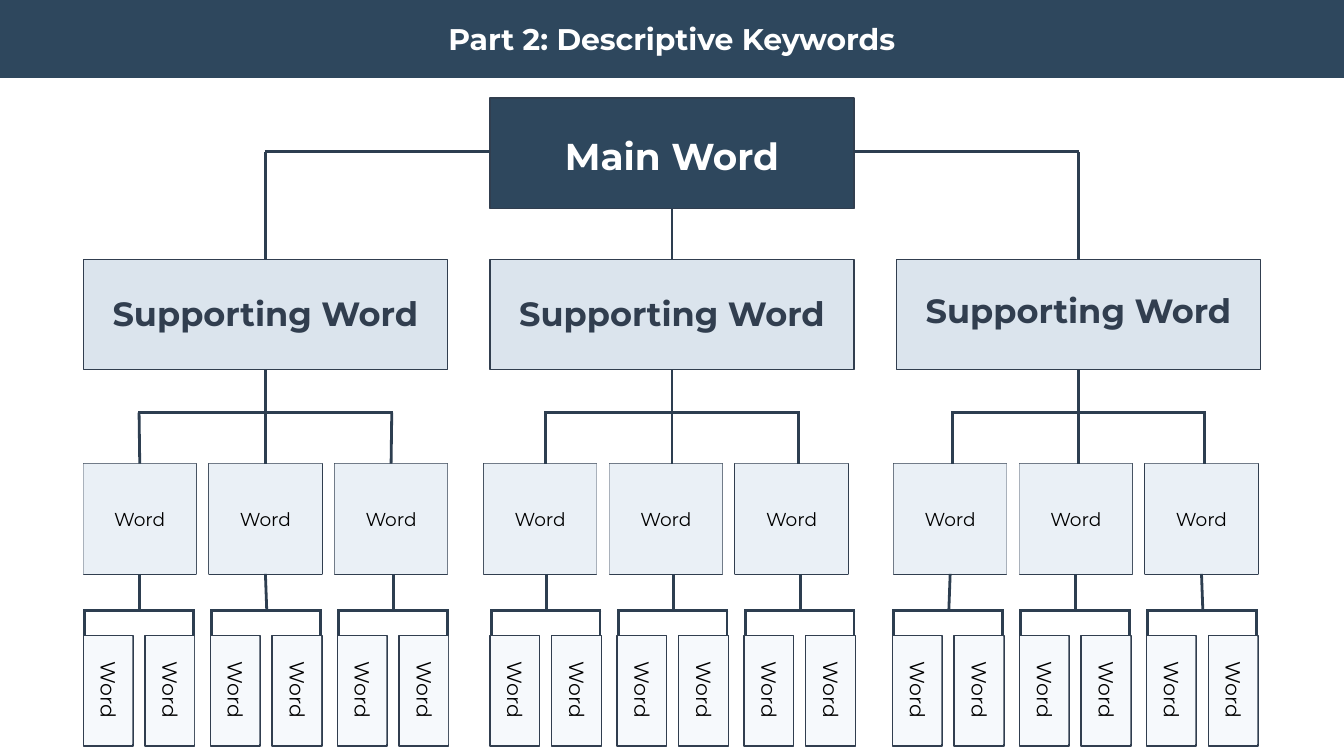
from lxml import etree
from pptx import Presentation
from pptx.dml.color import RGBColor
from pptx.enum.shapes import MSO_CONNECTOR, MSO_SHAPE
from pptx.enum.text import MSO_ANCHOR, MSO_AUTO_SIZE, PP_ALIGN
from pptx.oxml.ns import qn
from pptx.util import Inches, Pt

RECTANGLE = MSO_SHAPE.RECTANGLE
STRAIGHT = MSO_CONNECTOR.STRAIGHT
CENTER = PP_ALIGN.CENTER
MIDDLE, TOP_ANCHOR = MSO_ANCHOR.MIDDLE, MSO_ANCHOR.TOP
NO_AUTOFIT = MSO_AUTO_SIZE.NONE
TOP, BOTTOM = 0, 2

FONT = "Montserrat"
NAVY, OUTLINE, BRANCH = "2E475D", "313E4F", "2D3E50"
SUPPORT_FILL, WORD_FILL, LEAF_FILL = "DBE4ED", "EAF0F6", "F6F9FC"
WHITE, BLACK = "FFFFFF", "000000"

SLIDE_W = 10
SLIDE_H = SLIDE_W * 9 / 16
BOX_W, BOX_H = 2.71, 0.82
MAIN_X = (SLIDE_W - BOX_W) / 2
MAIN_Y, ELBOW_Y, SUPPORT_Y, WORD_Y, LEAF_Y = 0.73, 1.13, 1.93, 3.45, 4.73
BAR_Y, BRACKET_Y = 3.07, 4.54
WORD_W, WORD_PITCH = 0.84, 1.87 / 2
LEAF_W, LEAF_PITCH, PAIR_PITCH = 0.37, 0.46, 1.89 / 2
SNAP = 0.01

# Left edges of each branch: supporting box, word row, leaf row; then label top
BRANCHES = [
    (0.62, 0.62, 0.62, 2.08),
    (MAIN_X, 3.60, MAIN_X, 2.08),
    (6.67, 6.65, 6.64, 2.06),
]


def color(value):
    return RGBColor.from_string(value)


def write(shape, text, size, ink, bold=False, anchor=MIDDLE, side=0.1):
    frame = shape.text_frame
    frame.word_wrap = True
    frame.auto_size = NO_AUTOFIT
    frame.vertical_anchor = anchor
    frame.margin_left = frame.margin_right = Inches(side)
    frame.margin_top = frame.margin_bottom = Inches(0.1)
    paragraph = frame.paragraphs[0]
    paragraph.alignment = CENTER
    run = paragraph.add_run()
    run.text = text
    run.font.name, run.font.size, run.font.bold = FONT, Pt(size), bold
    run.font.color.rgb = color(ink)


def add_box(slide, x, y, w, h, fill, outlined=True):
    box = slide.shapes.add_shape(RECTANGLE, Inches(x), Inches(y), Inches(w), Inches(h))
    box.shadow.inherit = False
    box.fill.solid()
    box.fill.fore_color.rgb = color(fill)
    if outlined:
        box.line.color.rgb = color(OUTLINE)
        box.line.width = Pt(0.75)
    else:
        box.line.fill.background()
    return box


def add_label(slide, x, y, w, h, text, size, ink):
    label = slide.shapes.add_textbox(Inches(x), Inches(y), Inches(w), Inches(h))
    write(label, text, size, ink, bold=True, anchor=TOP_ANCHOR)


def add_branch_line(slide, x1, y1, x2, y2, begin=None, end=None):
    """Draw a line; begin and end are optional (shape, side) joints."""
    line = slide.shapes.add_connector(STRAIGHT, Inches(x1), Inches(y1), Inches(x2), Inches(y2))
    line.line.color.rgb = color(BRANCH)
    line.line.width = Pt(1.5)
    etree.SubElement(line._element.spPr, qn("a:effectLst"))
    if begin:
        line.begin_connect(*begin)
    if end:
        line.end_connect(*end)


def joint(box, side, x):
    """Return a joint when x meets the middle of the box's side."""
    middle = box.left + box.width / 2
    return (box, side) if abs(middle - Inches(x)) <= Inches(SNAP) else None


def add_title(slide):
    title = slide.shapes.title
    title.left, title.top = Inches(0), Inches(0)
    title.width, title.height = Inches(SLIDE_W), Inches(0.58)
    title.fill.solid()
    title.fill.fore_color.rgb = color(NAVY)
    write(title, "Part 2: Descriptive Keywords", 16, WHITE, bold=True)


def add_word(slide, x):
    frame = add_box(slide, x, WORD_Y, WORD_W, BOX_H, WHITE)
    face = add_box(slide, x, WORD_Y, WORD_W, BOX_H, WORD_FILL, outlined=False)
    write(face, "Word", 10, BLACK)
    return frame


def add_leaf(slide, x):
    add_box(slide, x, LEAF_Y, LEAF_W, BOX_H, LEAF_FILL)
    face = add_box(slide, x - 0.21, LEAF_Y + 0.23, 0.8, 0.35, LEAF_FILL, outlined=False)
    face.rotation = 90
    write(face, "Word", 11, BLACK, side=0.05)


def add_leaf_pair(slide, x, word):
    # Bracket from the word down to its two leaves
    stem_x = x + 0.42
    add_branch_line(slide, stem_x, WORD_Y + BOX_H, stem_x, BRACKET_Y,
                    begin=joint(word, BOTTOM, stem_x))
    add_branch_line(slide, x + 0.83, BRACKET_Y, x, BRACKET_Y)
    for post_x in (x + 0.01, x + 0.82):
        add_branch_line(slide, post_x, BRACKET_Y, post_x, LEAF_Y)
    for i in range(2):
        add_leaf(slide, x + i * LEAF_PITCH)


def add_branch(slide, support_x, words_x, leaves_x, label_y):
    support = add_box(slide, support_x, SUPPORT_Y, BOX_W, BOX_H, SUPPORT_FILL)
    add_label(slide, support_x + 0.04, label_y, 2.63, 0.58, "Supporting Word", 18, OUTLINE)
    words = [add_word(slide, words_x + i * WORD_PITCH) for i in range(3)]

    # Trunk, crossbar and drops from the supporting word to its three words
    center = support_x + BOX_W / 2
    add_branch_line(slide, center, SUPPORT_Y + BOX_H, center, WORD_Y,
                    begin=(support, BOTTOM), end=joint(words[1], TOP, center))
    add_branch_line(slide, center + 0.95, BAR_Y, center - 0.95, BAR_Y)
    for word, drop_x in ((words[0], center - 0.94), (words[2], center + 0.94)):
        add_branch_line(slide, drop_x, BAR_Y, drop_x, WORD_Y, end=joint(word, TOP, drop_x))

    for i, word in enumerate(words):
        add_leaf_pair(slide, leaves_x + i * PAIR_PITCH, word)
    return support


def add_main_links(slide, main_box, supports):
    left, middle, right = supports
    center = SLIDE_W / 2
    add_branch_line(slide, center, MAIN_Y + BOX_H, center, SUPPORT_Y,
                    begin=(main_box, BOTTOM), end=(middle, TOP))
    for support, branch, edge in ((left, BRANCHES[0], MAIN_X),
                                  (right, BRANCHES[2], MAIN_X + BOX_W)):
        x = branch[0] + BOX_W / 2
        add_branch_line(slide, edge, ELBOW_Y, x, ELBOW_Y)
        add_branch_line(slide, x, ELBOW_Y, x, SUPPORT_Y, end=(support, TOP))


def main():
    prs = Presentation()
    prs.slide_width, prs.slide_height = Inches(SLIDE_W), Inches(SLIDE_H)
    slide = prs.slides.add_slide(prs.slide_layouts[5])
    add_title(slide)

    # Main word
    main_box = add_box(slide, MAIN_X, MAIN_Y, BOX_W, BOX_H, NAVY)
    add_label(slide, MAIN_X + 0.04, 0.89, 2.63, 0.46, "Main Word", 20, WHITE)

    # Three branches and their links
    supports = [add_branch(slide, *branch) for branch in BRANCHES]
    add_main_links(slide, main_box, supports)

    prs.save("out.pptx")


if __name__ == "__main__":
    main()
